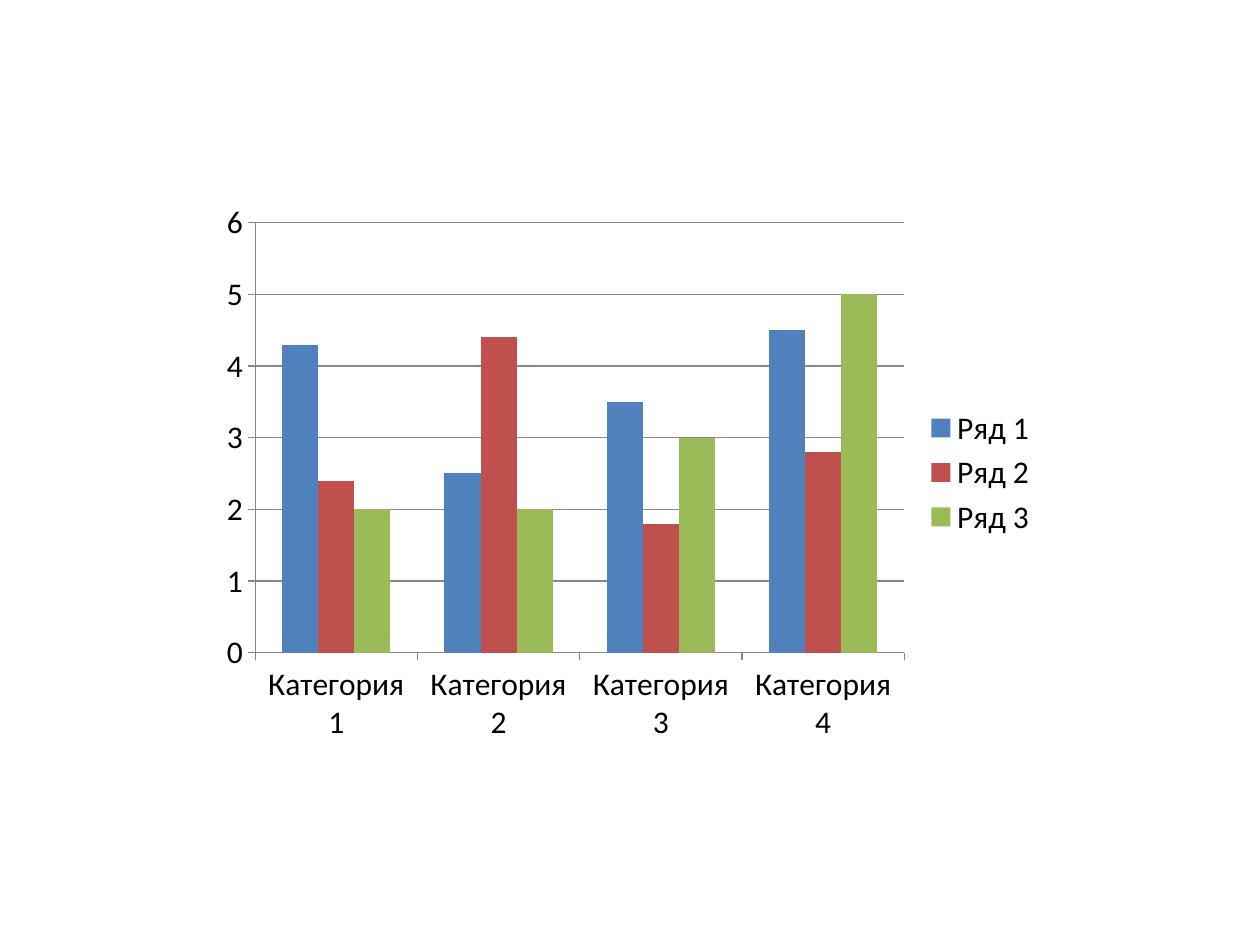
from dataclasses import dataclass

from pptx import Presentation
from pptx.chart.data import CategoryChartData
from pptx.dml.color import RGBColor
from pptx.enum.chart import XL_CHART_TYPE, XL_LEGEND_POSITION, XL_TICK_MARK
from pptx.util import Pt

CLUSTERED = XL_CHART_TYPE.COLUMN_CLUSTERED
LEGEND_RIGHT = XL_LEGEND_POSITION.RIGHT
TICK_OUT = XL_TICK_MARK.OUTSIDE
TICK_NONE = XL_TICK_MARK.NONE
BLANK_LAYOUT = 6


@dataclass(frozen=True)
class Theme:
    font: str = "Calibri"
    size: int = 18
    text: str = "000000"
    line: str = "878787"
    series: tuple = ("4F81BD", "C0504D", "9BBB59")


THEME = Theme()
CATEGORIES = [f"Категория {n}" for n in range(1, 5)]
SERIES = {
    "Ряд 1": (4.3, 2.5, 3.5, 4.5),
    "Ряд 2": (2.4, 4.4, 1.8, 2.8),
    "Ряд 3": (2, 2, 3, 5),
}


def rgb(value):
    return RGBColor.from_string(value)


def style_line(line):
    line.color.rgb = rgb(THEME.line)
    line.width = Pt(0.75)


def style_axis(axis, gridlines):
    axis.major_tick_mark = TICK_OUT
    axis.minor_tick_mark = TICK_NONE
    axis.has_major_gridlines = gridlines
    style_line(axis.format.line)
    if gridlines:
        style_line(axis.major_gridlines.format.line)


def add_column_chart(s, left, top, width, height):
    data = CategoryChartData(number_format="General")
    data.categories = CATEGORIES
    for name, values in SERIES.items():
        data.add_series(name, values)
    chart = s.shapes.add_chart(
        CLUSTERED, Pt(left), Pt(top), Pt(width), Pt(height), data
    ).chart

    chart.has_title = False
    chart.font.name = THEME.font
    chart.font.size = Pt(THEME.size)
    chart.font.color.rgb = rgb(THEME.text)

    chart.has_legend = True
    chart.legend.position = LEGEND_RIGHT
    chart.legend.include_in_layout = False

    style_axis(chart.category_axis, False)
    style_axis(chart.value_axis, True)
    chart.value_axis.minimum_scale = 0
    chart.value_axis.maximum_scale = 6
    chart.value_axis.major_unit = 1

    plot = chart.plots[0]
    plot.gap_width = 150
    plot.overlap = 0
    plot.vary_by_categories = False
    for series, color in zip(plot.series, THEME.series):
        series.format.fill.solid()
        series.format.fill.fore_color.rgb = rgb(color)


def main():
    prs = Presentation()
    prs.slide_width = Pt(720)
    prs.slide_height = Pt(540)
    s = prs.slides.add_slide(prs.slide_layouts[BLANK_LAYOUT])
    add_column_chart(s, 120, 110, 480, 320)
    prs.save("out.pptx")


main()
